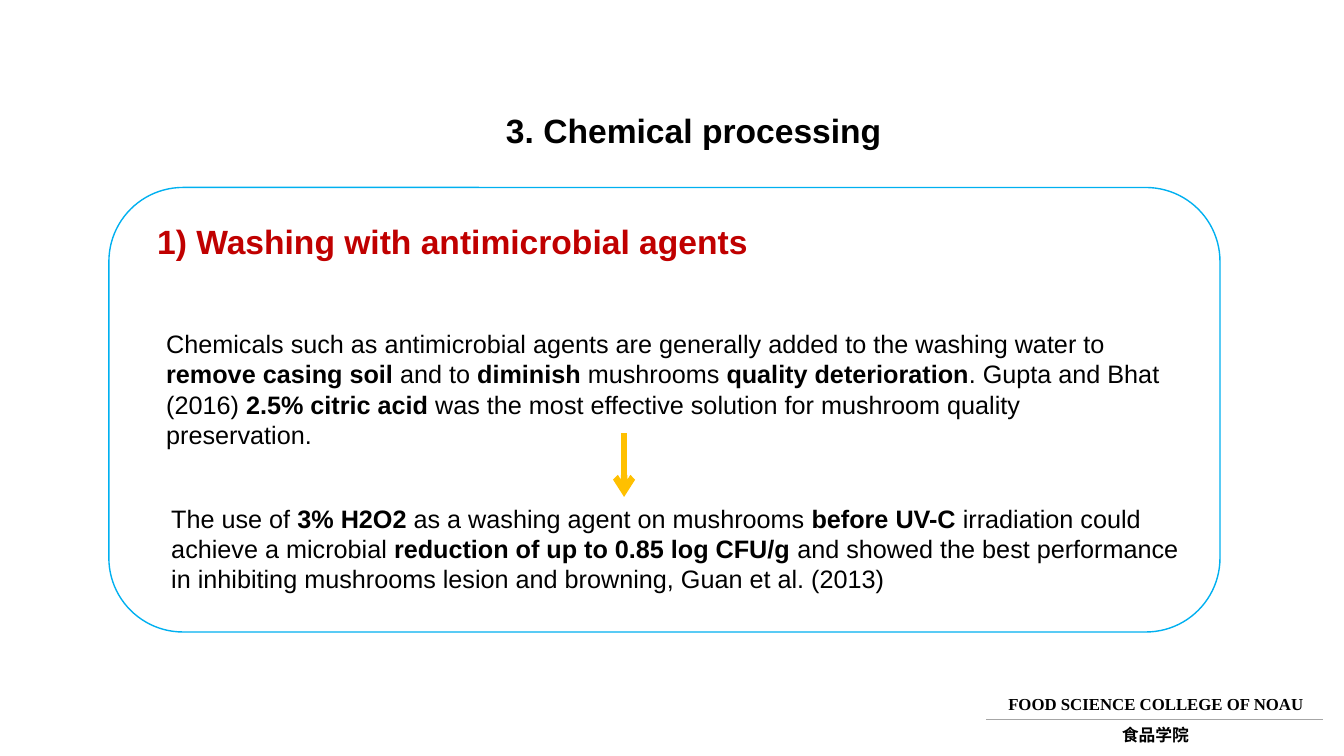
from dataclasses import dataclass

from lxml.etree import SubElement
from pptx import Presentation
from pptx.dml.color import RGBColor
from pptx.enum.shapes import MSO_CONNECTOR as Connector, MSO_SHAPE as Shape
from pptx.enum.text import MSO_AUTO_SIZE as AutoSize, PP_ALIGN as Align
from pptx.oxml.ns import qn
from pptx.util import Inches, Pt


@dataclass(frozen=True)
class Theme:
    ink: str = "000000"
    paper: str = "FFFFFF"
    heading: str = "C00000"
    frame: str = "00B0F0"
    arrow: str = "FFC000"
    rule: str = "A6A6A6"
    title_size: int = 24
    body_size: int = 18
    footer_size: int = 12
    body_font: str = "Arial"
    footer_font: str = "Times New Roman"
    chinese_font: str = "Noto Sans CJK SC"


class SlideBuilder:
    def __init__(self, page, theme):
        self.page = page
        self.theme = theme

    def color(self, name):
        return RGBColor.from_string(getattr(self.theme, name))

    def text(self, bounds, spans, size="body_size", font="body_font",
             color="ink", align=Align.LEFT, wrap=True):
        box = self.page.shapes.add_textbox(*map(Inches, bounds))
        frame = box.text_frame
        frame.word_wrap = wrap
        frame.auto_size = AutoSize.SHAPE_TO_FIT_TEXT
        para = frame.paragraphs[0]
        para.alignment = align
        typeface = getattr(self.theme, font)
        for words, bold in spans:
            span = para.add_run()
            span.text = words
            span.font.size = Pt(getattr(self.theme, size))
            span.font.name = typeface
            span.font.bold = bold
            span.font.color.rgb = self.color(color)
            SubElement(span.font._element, qn("a:ea"), typeface=typeface)

    def panel(self, bounds):
        panel = self.page.shapes.add_shape(Shape.ROUNDED_RECTANGLE, *map(Inches, bounds))
        panel.shadow.inherit = False
        panel.fill.solid()
        panel.fill.fore_color.rgb = self.color("paper")
        panel.line.color.rgb = self.color("frame")
        panel.line.width = Pt(1)

    def line(self, start, end, color, width, arrow=False):
        line = self.page.shapes.add_connector(
            Connector.STRAIGHT, *map(Inches, (*start, *end)))
        line.line.color.rgb = self.color(color)
        line.line.width = Pt(width)
        if arrow:
            SubElement(line.line._get_or_add_ln(), qn("a:tailEnd"), type="arrow")
        SubElement(line._element.spPr, qn("a:effectLst"))


def main():
    deck = Presentation()
    deck.slide_width, deck.slide_height = Inches(13.33), Inches(7.5)
    page = deck.slides.add_slide(deck.slide_layouts[6])
    slide = SlideBuilder(page, Theme())

    slide.line((13.12, 7.14), (9.78, 7.14), "rule", 0.5)
    slide.text((9.88, 6.83, 3.17, 0.3), [("FOOD SCIENCE COLLEGE OF NOAU", True)],
               "footer_size", "footer_font", align=Align.CENTER)
    slide.text((11.02, 7.14, 0.88, 0.3), [("食品学院", True)],
               "footer_size", "chinese_font", align=Align.CENTER, wrap=False)

    slide.panel((1.08, 1.86, 11.02, 4.41))
    slide.text((4.92, 1.04, 4.35, 0.51), [("3. Chemical processing", True)], "title_size")
    slide.text((1.46, 2.14, 6.15, 0.51), [("1) Washing with antimicrobial agents", True)],
               "title_size", color="heading")

    slide.text((1.55, 3.21, 10.16, 1.01), [
        ("Chemicals such as antimicrobial agents are generally added to the washing water to ", False),
        ("remove casing soil", True),
        (" and to ", False),
        ("diminish", True),
        (" mushrooms ", False),
        ("quality deterioration", True),
        (". Gupta and Bhat (2016) ", False),
        ("2.5% citric acid", True),
        (" was the most effective solution for mushroom quality preservation.", False),
    ])
    slide.line((6.19, 4.3), (6.19, 4.93), "arrow", 4.5, arrow=True)
    slide.text((1.6, 4.94, 10.19, 1.01), [
        ("The use of ", False),
        ("3% H2O2 ", True),
        ("as a washing agent on mushrooms ", False),
        ("before UV-C ", True),
        ("irradiation could achieve a microbial ", False),
        ("reduction of up to 0.85 log CFU/g ", True),
        ("and showed the best performance in inhibiting mushrooms lesion and browning, "
         "Guan et al. (2013)", False),
    ])

    deck.save("out.pptx")


if __name__ == "__main__":
    main()
